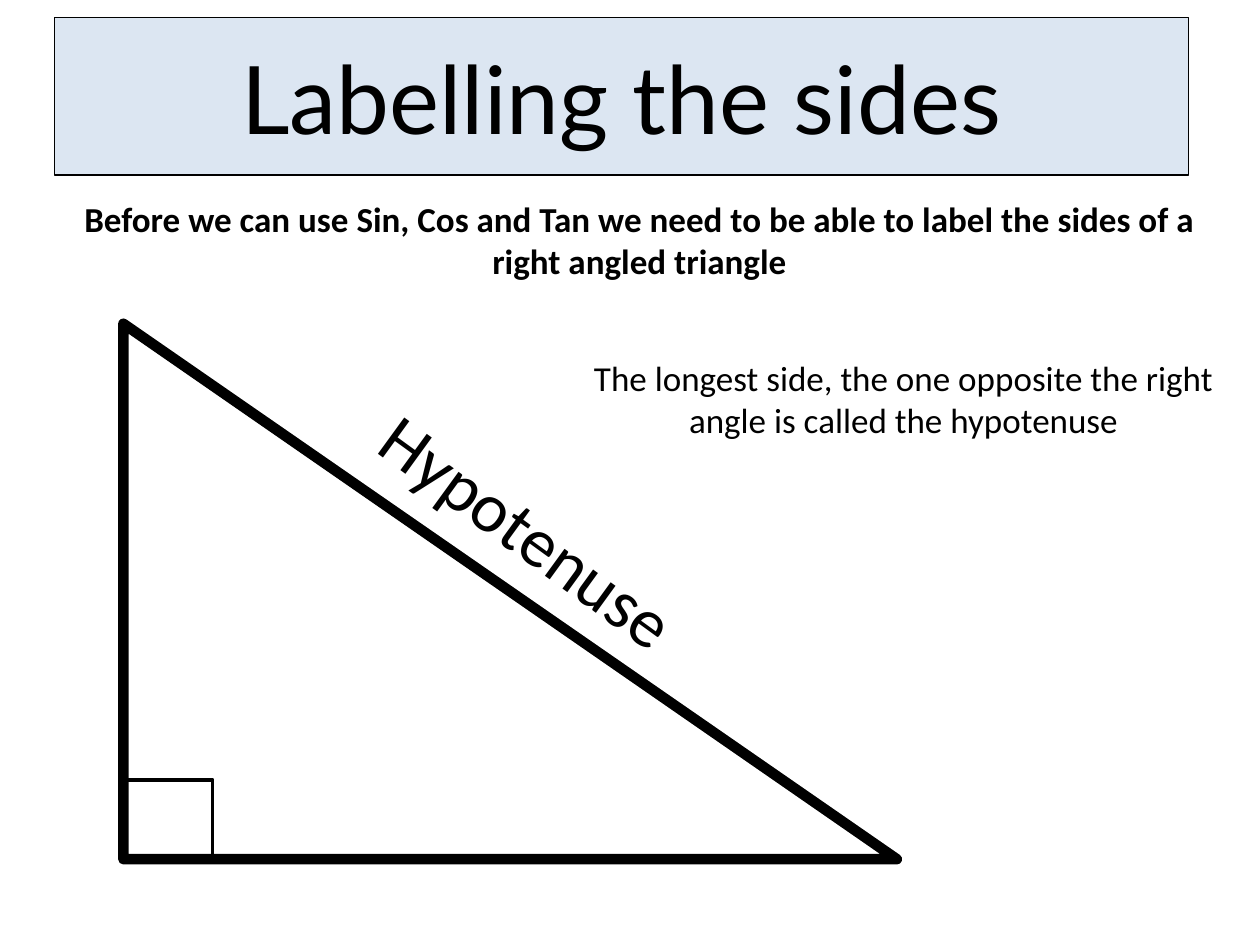
"""Build a slide that names the hypotenuse of a right-angled triangle."""
from dataclasses import dataclass

from lxml import etree
from pptx import Presentation
from pptx.dml.color import RGBColor
from pptx.enum.shapes import MSO_SHAPE
from pptx.enum.text import MSO_ANCHOR, MSO_AUTO_SIZE, PP_ALIGN
from pptx.oxml.ns import qn
from pptx.util import Pt

RECTANGLE, RIGHT_TRIANGLE = MSO_SHAPE.RECTANGLE, MSO_SHAPE.RIGHT_TRIANGLE
MIDDLE, TOP = MSO_ANCHOR.MIDDLE, MSO_ANCHOR.TOP
CENTER, LEFT = PP_ALIGN.CENTER, PP_ALIGN.LEFT
NO_AUTOFIT = MSO_AUTO_SIZE.NONE


@dataclass(frozen=True)
class Theme:
    ink: RGBColor = RGBColor(0, 0, 0)
    banner: RGBColor = RGBColor(0xDC, 0xE6, 0xF2)
    title_font: str = "Lato"
    body_font: str = "Calibri"
    title_size: int = 54
    label_size: int = 40
    body_size: int = 20


THEME = Theme()
SLIDE_SIZE = (720, 540)

TITLE = "Labelling the sides"
TITLE_BOX = (31, 10, 648, 90)
INTRO = "Before we can use Sin, Cos and Tan we need to be able to label the sides of a right angled triangle"
INTRO_BOX = (25.2, 100, 680.4, 73.5)
EXPLANATION = "The longest side, the one opposite the right angle is called the hypotenuse"
EXPLANATION_BOX = (326.2, 190.8, 380.2, 73.5)
LABEL = "Hypotenuse"
LABEL_BOX = (197.3, 275.8, 211.7, 55.4)
LABEL_ROTATION = 36

TRIANGLE_BOX = (70.5, 185, 442, 306)
CORNER_SIZE = (51, 45.4)


def points(box):
    return [Pt(length) for length in box]


def write(shape, text, size, font=THEME.body_font, bold=False, align=CENTER, anchor=MIDDLE, wrap=True):
    frame = shape.text_frame
    frame.auto_size = NO_AUTOFIT
    frame.word_wrap = wrap
    frame.vertical_anchor = anchor
    frame.text = text
    paragraph = frame.paragraphs[0]
    paragraph.alignment = align
    paragraph.font.name = font
    paragraph.font.size = Pt(size)
    paragraph.font.bold = bold
    paragraph.font.color.rgb = THEME.ink


def add_title(slide):
    title = slide.shapes.title
    title.left, title.top, title.width, title.height = points(TITLE_BOX)
    title.fill.solid()
    title.fill.fore_color.rgb = THEME.banner
    title.line.color.rgb = THEME.ink
    title.line.width = Pt(0.75)
    write(title, TITLE, THEME.title_size, THEME.title_font)


def add_outline(slide, kind, box, line_width):
    shape = slide.shapes.add_shape(kind, *points(box))
    shape.shadow.inherit = False
    shape.fill.background()
    shape.line.color.rgb = THEME.ink
    shape.line.width = Pt(line_width)
    etree.SubElement(shape.element.spPr.find(qn("a:ln")), qn("a:round"))


def add_text(slide, box, text, size, **style):
    text_box = slide.shapes.add_textbox(*points(box))
    write(text_box, text, size, **style)
    return text_box


def main():
    presentation = Presentation()
    presentation.slide_width, presentation.slide_height = points(SLIDE_SIZE)
    slide = presentation.slides.add_slide(presentation.slide_layouts.get_by_name("Title Only"))

    add_title(slide)
    add_outline(slide, RIGHT_TRIANGLE, TRIANGLE_BOX, 6)
    label = add_text(slide, LABEL_BOX, LABEL, THEME.label_size, align=LEFT, anchor=TOP, wrap=False)
    label.rotation = LABEL_ROTATION

    left, top, _, height = TRIANGLE_BOX
    corner_width, corner_height = CORNER_SIZE
    corner_box = (left, top + height - corner_height, corner_width, corner_height)
    add_outline(slide, RECTANGLE, corner_box, 2)

    add_text(slide, EXPLANATION_BOX, EXPLANATION, THEME.body_size)
    add_text(slide, INTRO_BOX, INTRO, THEME.body_size, bold=True)
    presentation.save("out.pptx")


if __name__ == "__main__":
    main()
